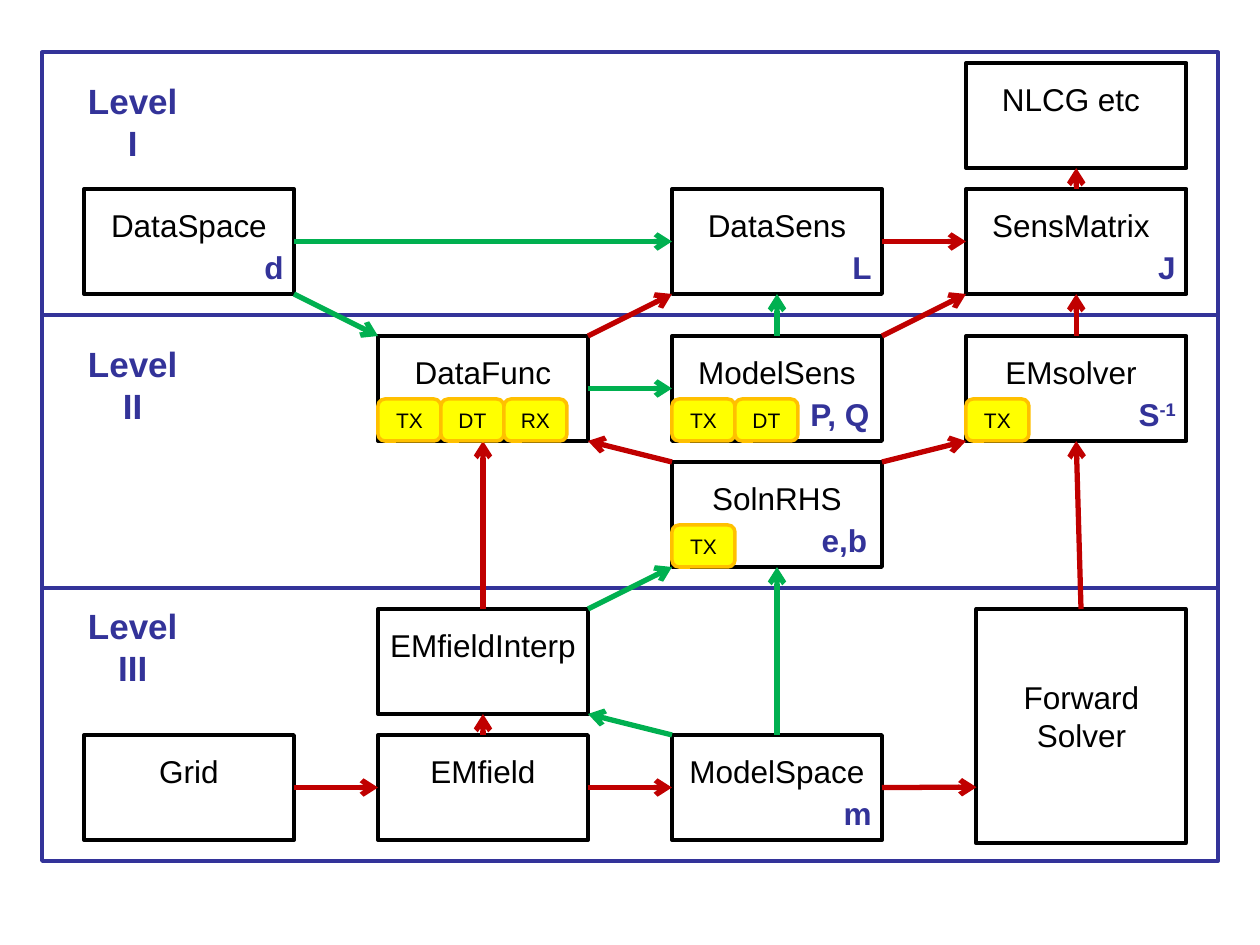
from dataclasses import dataclass
from enum import Enum

from lxml.etree import SubElement
from pptx import Presentation
from pptx.dml.color import RGBColor
from pptx.enum.shapes import MSO_CONNECTOR, MSO_SHAPE
from pptx.enum.text import MSO_ANCHOR, MSO_AUTO_SIZE, PP_ALIGN
from pptx.oxml.ns import qn
from pptx.util import Pt

COLORS = {
    "navy": "333399", "black": "000000", "green": "00B050",
    "red": "C00000", "yellow": "FFFF00", "amber": "FFC000",
}
COLS = (48, 216, 384, 552)
ROWS = (36, 108, 192, 264, 348, 420)
BOX_W, BOX_H = 120, 60
LAST_W = 126
CHIP_W, CHIP_H = 36, 24
LABEL_H = 28.8


class Site(Enum):
    """Place on a box: x share, y share, connection index if any."""
    TOP = (0.5, 0, 0)
    LEFT = (0, 0.5, 1)
    BOTTOM = (0.5, 1, 2)
    RIGHT = (1, 0.5, 3)
    TOP_LEFT = (0, 0, None)
    TOP_RIGHT = (1, 0, None)
    BOTTOM_LEFT = (0, 1, None)
    BOTTOM_RIGHT = (1, 1, None)
    LOW_LEFT = (0, 0.76, None)


@dataclass(frozen=True)
class Module:
    name: str
    x: float
    y: float
    w: float = BOX_W
    h: float = BOX_H
    label_w: float = 108
    label_dy: float = 6
    symbol: str = ""
    exponent: str = ""
    symbol_w: float = 0
    chips: tuple[str, ...] = ()


@dataclass(frozen=True)
class Level:
    name: str
    top: float
    bottom: float


@dataclass(frozen=True)
class Arrow:
    color: str
    start: str
    start_site: Site
    end: str
    end_site: Site


LEVELS = (
    Level("Level I", 30, 180),
    Level("Level II", 180, 336),
    Level("Level III", 336, 492),
)
MODULES = (
    Module("Grid", COLS[0], ROWS[5]),
    Module("EMfield", COLS[1], ROWS[5]),
    Module("ModelSpace", COLS[2], ROWS[5], label_w=120, symbol="m", symbol_w=30),
    Module("Forward Solver", 558, ROWS[4], w=119.5, h=134, label_dy=36),
    Module("EMfieldInterp", COLS[1], ROWS[4], label_w=132),
    Module("SolnRHS", COLS[2], ROWS[3], symbol="e,b", symbol_w=45, chips=("TX",)),
    Module("DataFunc", COLS[1], ROWS[2], chips=("TX", "DT", "RX")),
    Module("ModelSens", COLS[2], ROWS[2], symbol="P, Q", symbol_w=50, chips=("TX", "DT")),
    Module("EMsolver", COLS[3], ROWS[2], w=LAST_W, symbol="S", exponent="-1",
           symbol_w=35.5, chips=("TX",)),
    Module("SensMatrix", COLS[3], ROWS[1], w=LAST_W, symbol="J", symbol_w=24.5),
    Module("DataSpace", COLS[0], ROWS[1], symbol="d", symbol_w=25),
    Module("DataSens", COLS[2], ROWS[1], symbol="L", symbol_w=25),
    Module("NLCG etc", COLS[3], ROWS[0], w=LAST_W),
)
ARROWS = (
    Arrow("green", "DataSpace", Site.RIGHT, "DataSens", Site.LEFT),
    Arrow("green", "DataSpace", Site.BOTTOM_RIGHT, "DataFunc", Site.TOP_LEFT),
    Arrow("green", "DataFunc", Site.RIGHT, "ModelSens", Site.LEFT),
    Arrow("red", "DataFunc", Site.TOP_RIGHT, "DataSens", Site.BOTTOM_LEFT),
    Arrow("red", "DataSens", Site.RIGHT, "SensMatrix", Site.LEFT),
    Arrow("red", "ModelSpace", Site.RIGHT, "Forward Solver", Site.LOW_LEFT),
    Arrow("green", "ModelSens", Site.TOP, "DataSens", Site.BOTTOM),
    Arrow("red", "ModelSens", Site.TOP_RIGHT, "SensMatrix", Site.BOTTOM_LEFT),
    Arrow("red", "EMsolver", Site.TOP, "SensMatrix", Site.BOTTOM),
    Arrow("red", "SensMatrix", Site.TOP, "NLCG etc", Site.BOTTOM),
    Arrow("red", "SolnRHS", Site.TOP_RIGHT, "EMsolver", Site.BOTTOM_LEFT),
    Arrow("red", "SolnRHS", Site.TOP_LEFT, "DataFunc", Site.BOTTOM_RIGHT),
    Arrow("red", "Grid", Site.RIGHT, "EMfield", Site.LEFT),
    Arrow("red", "EMfield", Site.RIGHT, "ModelSpace", Site.LEFT),
    Arrow("red", "EMfield", Site.TOP, "EMfieldInterp", Site.BOTTOM),
    Arrow("red", "EMfieldInterp", Site.TOP, "DataFunc", Site.BOTTOM),
    Arrow("red", "Forward Solver", Site.TOP, "EMsolver", Site.BOTTOM),
    Arrow("green", "ModelSpace", Site.TOP, "SolnRHS", Site.BOTTOM),
    Arrow("green", "ModelSpace", Site.TOP_LEFT, "EMfieldInterp", Site.BOTTOM_RIGHT),
    Arrow("green", "EMfieldInterp", Site.TOP_RIGHT, "SolnRHS", Site.BOTTOM_LEFT),
)


def rgb(name: str) -> RGBColor:
    return RGBColor.from_string(COLORS[name])


def style_paragraph(p, size: float, color: str, bold: bool = False) -> None:
    p.alignment = PP_ALIGN.CENTER
    p.font.name = "Arial"
    p.font.size = Pt(size)
    p.font.bold = bold
    p.font.color.rgb = rgb(color)


def add_box(shapes, kind, x: float, y: float, w: float, h: float,
            line: str, line_w: float = 2.25):
    """Add an unfilled outlined shape without shadow."""
    sp = shapes.add_shape(kind, Pt(x), Pt(y), Pt(w), Pt(h))
    sp.shadow.inherit = False
    sp.fill.background()
    sp.line.color.rgb = rgb(line)
    sp.line.width = Pt(line_w)
    return sp


def add_label(shapes, text: str, x: float, y: float, w: float, h: float = LABEL_H,
              size: float = 18, color: str = "black", bold: bool = False,
              wrap: bool = True):
    """Add a centred text box and return its paragraph."""
    tf = shapes.add_textbox(Pt(x), Pt(y), Pt(w), Pt(h)).text_frame
    tf.word_wrap = wrap
    tf.auto_size = MSO_AUTO_SIZE.SHAPE_TO_FIT_TEXT
    p = tf.paragraphs[0]
    p.add_run().text = text
    style_paragraph(p, size, color, bold)
    return p


def add_module_label(shapes, m: Module) -> None:
    height = LABEL_H if m.h == BOX_H else 50.4
    add_label(shapes, m.name, m.x + (BOX_W - m.label_w) / 2, m.y + m.label_dy,
              m.label_w, height)


def add_symbol(shapes, m: Module) -> None:
    """Write the module's math symbol in its lower right corner."""
    p = add_label(shapes, m.symbol, m.x + m.w + 1 - m.symbol_w, m.y + 30, m.symbol_w,
                  color="navy", bold=True, wrap=False)
    if m.exponent:
        r = p.add_run()
        r.text = m.exponent
        r._r.get_or_add_rPr().set("baseline", "30000")


def add_chip(shapes, text: str, x: float, y: float) -> None:
    sp = add_box(shapes, MSO_SHAPE.ROUNDED_RECTANGLE, x, y, CHIP_W, CHIP_H, "amber", 2)
    sp.fill.solid()
    sp.fill.fore_color.rgb = rgb("yellow")
    tf = sp.text_frame
    tf.margin_left = tf.margin_right = tf.margin_top = tf.margin_bottom = 0
    tf.vertical_anchor = MSO_ANCHOR.MIDDLE
    p = tf.paragraphs[0]
    p.add_run().text = text
    style_paragraph(p, 12, "black")


def site_point(sp, site: Site) -> tuple[int, int]:
    fx, fy, _ = site.value
    return int(sp.left + fx * sp.width), int(sp.top + fy * sp.height)


def add_arrow(shapes, arrow: Arrow, boxes: dict) -> None:
    start, end = boxes[arrow.start], boxes[arrow.end]
    cxn = shapes.add_connector(MSO_CONNECTOR.STRAIGHT, *site_point(start, arrow.start_site),
                               *site_point(end, arrow.end_site))
    for connect, sp, site in ((cxn.begin_connect, start, arrow.start_site),
                              (cxn.end_connect, end, arrow.end_site)):
        if site.value[2] is not None:
            connect(sp, site.value[2])
    cxn.line.color.rgb = rgb(arrow.color)
    cxn.line.width = Pt(3)
    SubElement(cxn.line._get_or_add_ln(), qn("a:tailEnd"), type="arrow")
    SubElement(cxn._element.spPr, qn("a:effectLst"))


def main() -> None:
    prs = Presentation()
    prs.slide_width, prs.slide_height = Pt(720), Pt(540)
    shapes = prs.slides.add_slide(prs.slide_layouts[6]).shapes

    for lv in LEVELS:
        add_box(shapes, MSO_SHAPE.RECTANGLE, 24, lv.top, 672, lv.bottom - lv.top, "navy")
    boxes = {m.name: add_box(shapes, MSO_SHAPE.RECTANGLE, m.x, m.y, m.w, m.h, "black")
             for m in MODULES}
    for m in MODULES:
        add_module_label(shapes, m)
    for i, lv in enumerate(LEVELS):
        add_label(shapes, lv.name, 42, 42 + 150 * i, 67.7, 55.4, 20, "navy", bold=True)
    for arrow in ARROWS:
        add_arrow(shapes, arrow, boxes)
    for m in MODULES:
        if m.symbol:
            add_symbol(shapes, m)
        for i, chip in enumerate(m.chips):
            add_chip(shapes, chip, m.x + CHIP_W * i, m.y + BOX_H - CHIP_H)
    prs.save("out.pptx")


if __name__ == "__main__":
    main()
